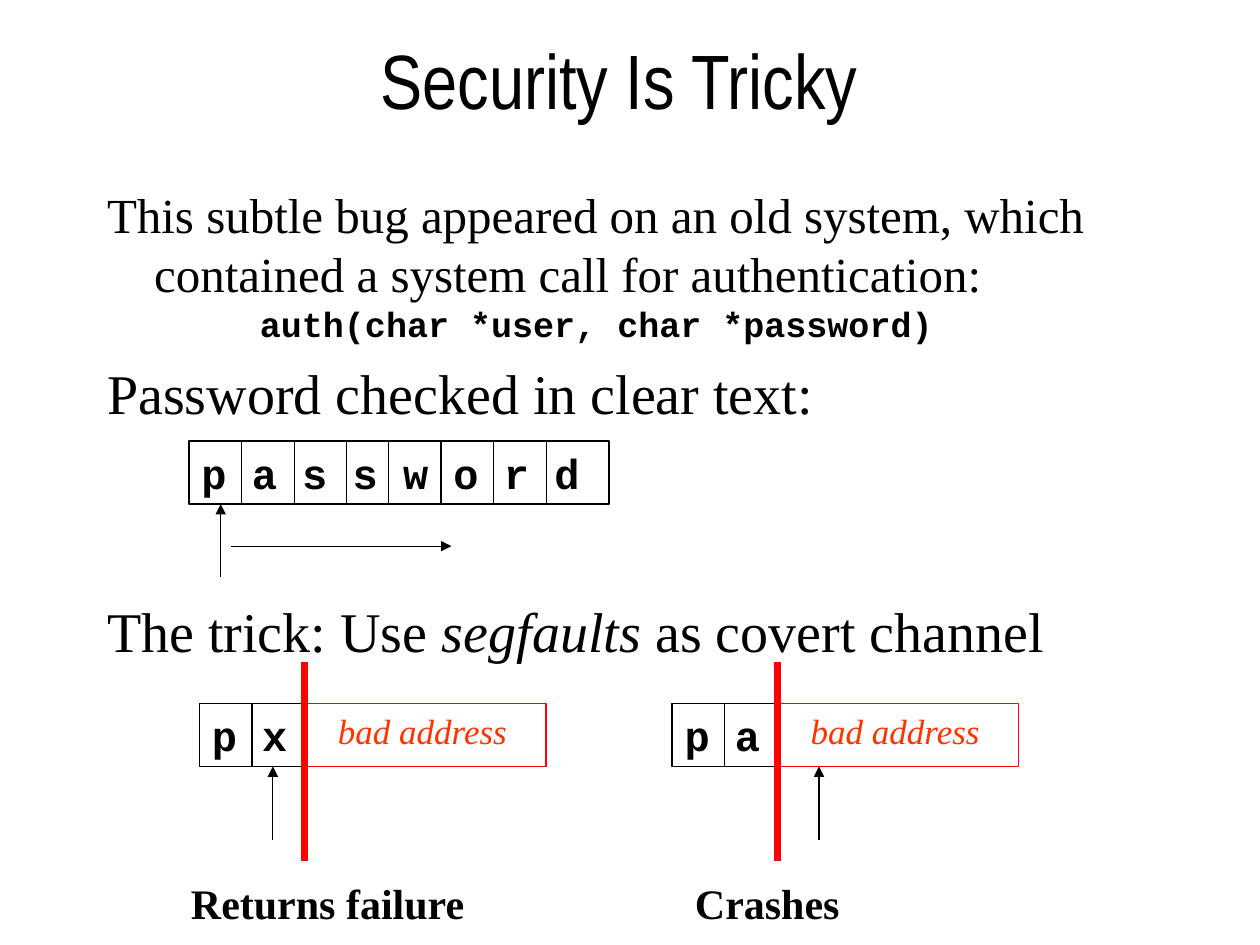
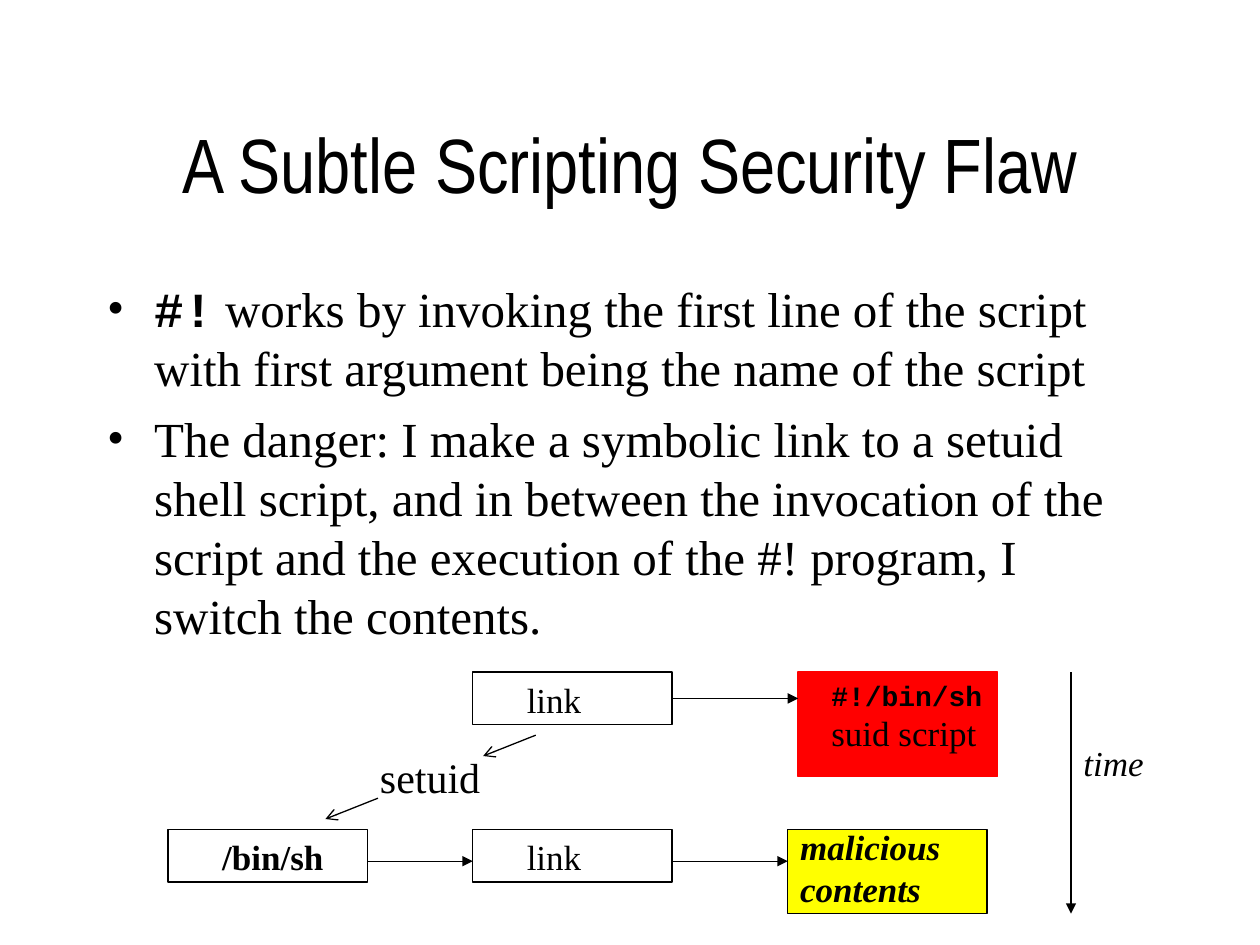
import lxml.etree
import pptx
import pptx.dml.color
import pptx.enum.shapes
import pptx.enum.text
import pptx.oxml.ns
import pptx.util
from pptx.util import Cm

COLORS = {"black": "000000", "red": "FF0000", "orange": "FF3300", "yellow": "FFFF00"}
SERIF, MONO, NARROW = "Times New Roman", "Courier New", "Arial Narrow"
RECTANGLE = pptx.enum.shapes.MSO_SHAPE.RECTANGLE
qn = pptx.oxml.ns.qn


def write(paragraph, text, size=20, font=SERIF, bold=False, italic=False, color="black"):
    """Append text to the paragraph, turning each newline into a line break."""
    for number, line in enumerate(text.split("\n")):
        if number:
            paragraph.add_line_break()
        if line:
            run = paragraph.add_run()
            run.text = line
            run.font.size = pptx.util.Pt(size)
            run.font.name = font
            run.font.bold = bold
            run.font.italic = italic
            run.font.color.rgb = pptx.dml.color.RGBColor.from_string(COLORS[color])


def draw_line(slide, start, end, color="black", width=0.75, arrowhead=None):
    """Draw a straight line between two points in centimetres."""
    line = slide.shapes.add_connector(
        pptx.enum.shapes.MSO_CONNECTOR.STRAIGHT, *map(Cm, start + end))
    line.line.color.rgb = pptx.dml.color.RGBColor.from_string(COLORS[color])
    line.line.width = pptx.util.Pt(width)
    if arrowhead:
        lxml.etree.SubElement(line.line._get_or_add_ln(), qn("a:tailEnd"), type=arrowhead)
    lxml.etree.SubElement(line._element.spPr, qn("a:effectLst"))
    return line


presentation = pptx.Presentation()
presentation.slide_width, presentation.slide_height = Cm(25.4), Cm(19.05)

# Titles and body text
slides, bodies = [], []
for title, title_left, title_top, body_top, body_height in [
    ("Security Is Tricky", 1.69, 0, 3.6, 13.34),
    ("A Subtle Scripting Security Flaw", 1.91, 1.69, 5.5, 7.62),
]:
    slide = presentation.slides.add_slide(presentation.slide_layouts[5])
    placeholder = slide.shapes.title
    placeholder.left, placeholder.top = Cm(title_left), Cm(title_top)
    placeholder.width, placeholder.height = Cm(21.59), Cm(3.18)
    placeholder.text_frame.auto_size = pptx.enum.text.MSO_AUTO_SIZE.NONE
    placeholder.text_frame.vertical_anchor = pptx.enum.text.MSO_ANCHOR.MIDDLE
    paragraph = placeholder.text_frame.paragraphs[0]
    paragraph.alignment = pptx.enum.text.PP_ALIGN.CENTER
    write(paragraph, title, size=44, font=NARROW)
    body = slide.shapes.add_textbox(Cm(1.91), Cm(body_top), Cm(21.59), Cm(body_height))
    body.text_frame.word_wrap = True
    slides.append(slide)
    bodies.append(body.text_frame)
bug_slide, flaw_slide = slides

# Each paragraph: space before, left margin, first-line indent, bullet, runs
bug_paragraphs = [
    (5, 0.95, -0.95, None, [
        ("This subtle bug appeared on an old system, which contained a system call "
         "for authentication:", {"size": 28})]),
    (0, 3.08, 0, None, [
        ("auth(char *user, char *password)", {"size": 20, "font": MONO, "bold": True})]),
    (8, 0.95, -0.95, None, [("Password checked in clear text:", {"size": 32})]),
    (97.6, 0.95, -0.95, None, [
        ("The trick: Use ", {"size": 32}),
        ("segfaults", {"size": 32, "italic": True}),
        (" as covert channel", {"size": 32})]),
]
flaw_paragraphs = [
    (7, 0.95, -0.95, "•", [
        ("#!", {"size": 28, "font": MONO, "bold": True}),
        (" works by invoking the first line of the script with first argument being "
         "the name of the script", {"size": 28})]),
    (7, 0.95, -0.95, "•", [
        ("The danger: I make a symbolic link to a setuid shell script, and in between "
         "the invocation of the script and the execution of the #! program, I switch "
         "the contents.", {"size": 28})]),
]
for frame, paragraphs in zip(bodies, [bug_paragraphs, flaw_paragraphs]):
    for number, (space, margin, indent, bullet, runs) in enumerate(paragraphs):
        paragraph = frame.add_paragraph() if number else frame.paragraphs[0]
        paragraph.space_before = pptx.util.Pt(space)
        properties = paragraph._p.get_or_add_pPr()
        properties.set("marL", str(Cm(margin)))
        properties.set("indent", str(Cm(indent)))
        if bullet:
            bullet_color = lxml.etree.SubElement(properties, qn("a:buClr"))
            lxml.etree.SubElement(bullet_color, qn("a:srgbClr"), val=COLORS["black"])
            lxml.etree.SubElement(properties, qn("a:buFont"), typeface=SERIF)
            lxml.etree.SubElement(properties, qn("a:buChar"), char=bullet)
        for text, text_format in runs:
            write(paragraph, text, **text_format)

# Boxes: slide, name, left, top, width, height, fill, outline
memory_lefts = [4.02, 13.55]
memory_top, memory_bottom, page_offset = 14.18, 15.45, 2.12
box_specs = [
    (bug_slide, "password", 3.81, 8.89, 8.47, 1.27, None, "black"),
    (flaw_slide, "first link", 9.53, 13.55, 4.02, 1.06, None, "black"),
    (flaw_slide, "suid script", 16.09, 13.55, 4.02, 2.11, "red", "red"),
    (flaw_slide, "shell", 3.39, 16.72, 4.02, 1.06, None, "black"),
    (flaw_slide, "second link", 9.53, 16.72, 4.02, 1.06, None, "black"),
    (flaw_slide, "malicious contents", 15.88, 16.72, 4.02, 1.69, "yellow", "black"),
]
for left in memory_lefts:
    box_specs += [
        (bug_slide, f"letters {left}", left, memory_top, page_offset, 1.27, None, "black"),
        (bug_slide, f"bad page {left}", left + page_offset, memory_top, 4.87, 1.27, None, "red"),
    ]
boxes = {}
for slide, name, left, top, width, height, fill, outline in box_specs:
    box = slide.shapes.add_shape(RECTANGLE, Cm(left), Cm(top), Cm(width), Cm(height))
    box.shadow.inherit = False
    if fill:
        box.fill.solid()
        box.fill.fore_color.rgb = pptx.dml.color.RGBColor.from_string(COLORS[fill])
    else:
        box.fill.background()
    box.line.color.rgb = pptx.dml.color.RGBColor.from_string(COLORS[outline])
    box.line.width = pptx.util.Pt(0.75)
    boxes[name] = box

# Password scan and the two guesses
for x in [4.87, 5.93, 6.99, 7.83, 8.89, 9.95, 11.01]:
    draw_line(bug_slide, (x, 8.89), (x, 10.16))
draw_line(bug_slide, (4.45, 11.64), (4.45, 10.16), arrowhead="triangle")
draw_line(bug_slide, (4.66, 11.01), (9.1, 11.01), arrowhead="triangle")
for left, pointer in zip(memory_lefts, [5.5, 16.51]):
    middle, wall = left + page_offset / 2, left + page_offset
    divider = draw_line(bug_slide, (middle, memory_top), (middle, memory_bottom))
    divider.begin_connect(boxes[f"letters {left}"], 0)
    divider.end_connect(boxes[f"letters {left}"], 2)
    draw_line(bug_slide, (pointer, 16.93), (pointer, memory_bottom), arrowhead="triangle")
    draw_line(bug_slide, (wall, 13.34), (wall, 17.36), color="red", width=4)

# Link arrows and time axis
link_arrow = draw_line(flaw_slide, (13.55, 14.08), (16.09, 14.08), arrowhead="triangle")
link_arrow.begin_connect(boxes["first link"], 3)
for start, end, arrowhead in [
    ((7.41, 17.36), (9.53, 17.36), "triangle"),
    ((13.55, 17.36), (15.88, 17.36), "triangle"),
    ((21.59, 13.55), (21.59, 18.42), "triangle"),
    ((10.8, 14.82), (9.74, 15.24), "arrow"),
    ((7.62, 16.09), (6.56, 16.51), "arrow"),
]:
    draw_line(flaw_slide, start, end, arrowhead=arrowhead)

# Labels: slide, left, top, width, height, runs
letters = {"size": 24, "font": MONO, "bold": True}
outcome = {"size": 24, "bold": True}
labels = [
    (bug_slide, 3.81, 8.89, 9.1, 1.27, [("p a s s w o r d", letters)]),
    (bug_slide, 3.6, 17.57, 8.04, 1.27, [("Returns failure", outcome)]),
    (bug_slide, 13.76, 17.57, 8.04, 1.27, [("Crashes", outcome)]),
    (flaw_slide, 7.41, 15.03, 2.96, 1.27, [("setuid", {"size": 24})]),
    (flaw_slide, 10.37, 13.55, 3.39, 1.11, [("link", {})]),
    (flaw_slide, 10.37, 16.72, 3.39, 1.11, [("link", {})]),
    (flaw_slide, 4.23, 16.72, 3.39, 1.11, [("/bin/sh", {"bold": True})]),
    (flaw_slide, 16.51, 13.55, 4.23, 1.78, [
        ("#!/bin/sh\n", {"size": 16, "font": MONO, "bold": True}), ("suid script", {})]),
    (flaw_slide, 15.88, 16.51, 4.66, 1.96, [
        ("malicious\ncontents", {"bold": True, "italic": True})]),
    (flaw_slide, 21.59, 14.82, 2.54, 1.11, [("time", {"italic": True})]),
]
for left, guess in zip(memory_lefts, ["p x", "p a"]):
    labels += [
        (bug_slide, left, memory_top, 2.54, 1.27, [(guess, letters)]),
        (bug_slide, left + 2.54, memory_top, 5.72, 1.11, [
            ("bad address", {"italic": True, "color": "orange"})]),
    ]
for slide, left, top, width, height, runs in labels:
    label = slide.shapes.add_textbox(Cm(left), Cm(top), Cm(width), Cm(height))
    label.text_frame.word_wrap = True
    for text, text_format in runs:
        write(label.text_frame.paragraphs[0], text, **text_format)

presentation.save("out.pptx")
